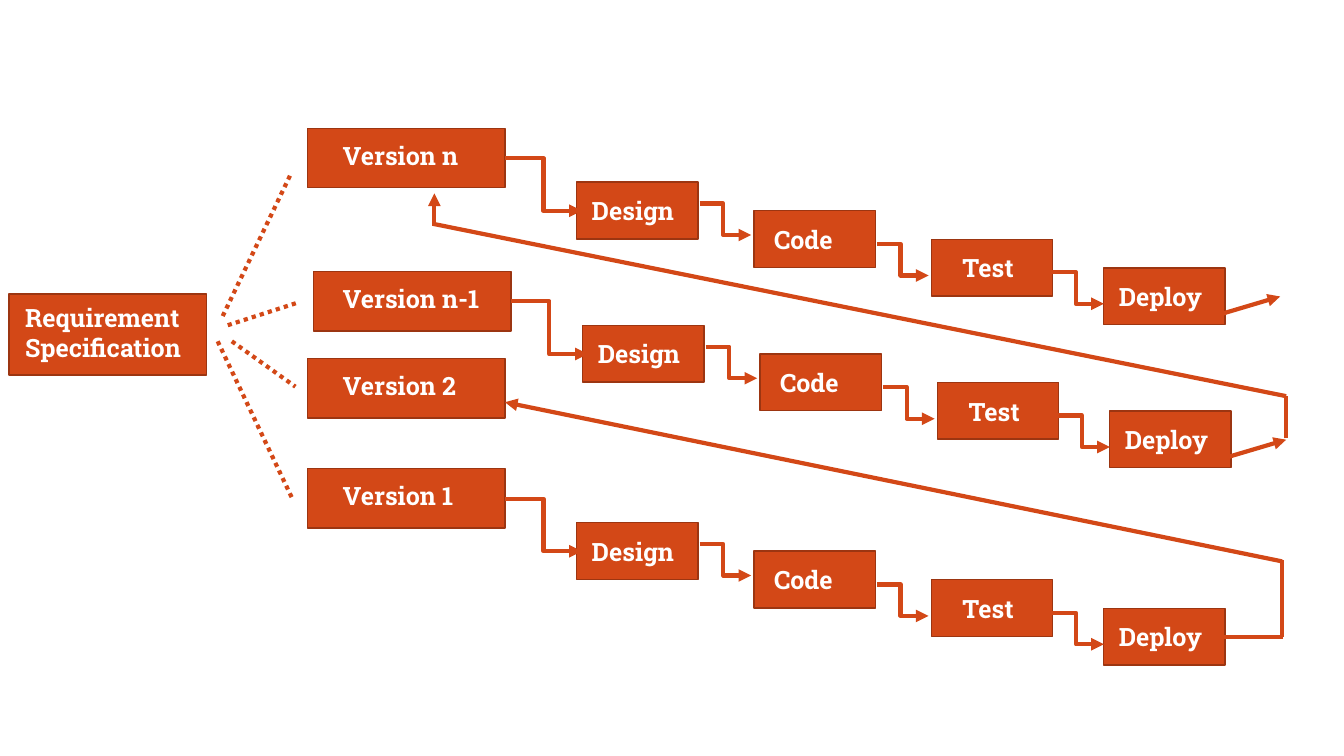
import pptx
import pptx.util
import pptx.dml.color
import pptx.enum.dml
import pptx.enum.shapes
import pptx.enum.text
import pptx.oxml
import pptx.oxml.ns

Pt = pptx.util.Pt
ORANGE, BORDER, WHITE = "D34817", "9C3511", "FFFFFF"
FONT = {"name": "Roboto Slab", "size": Pt(18), "bold": True}
VERSION_W, VERSION_H = 141.1, 42.5
STEP_W, STEP_H = 86.7, 40.5
LABEL_W, LABEL_H = 78.5, 29
# Step name, left offset in the row, label indent
STEPS = [("Design", 192.3, 3.7), ("Code", 319, 7.2),
         ("Test", 445.7, 15.1), ("Deploy", 568.8, 3.7)]
STEP_TOP, STEP_DROP = 38.5, 20.4
# Start of each elbow arrow between neighbouring steps
ELBOWS = [(280.1, 53.8), (406.8, 82.7), (532, 102.9)]
ELBOW_W, ELBOW_H = 36.9, 22.5


def rgb(value):
    return pptx.dml.color.RGBColor.from_string(value)


def add_box(s, x, y, w, h):
    sp = s.shapes.add_shape(pptx.enum.shapes.MSO_SHAPE.RECTANGLE,
                            Pt(x), Pt(y), Pt(w), Pt(h))
    sp.shadow.inherit = False
    sp.fill.solid()
    sp.fill.fore_color.rgb = rgb(ORANGE)
    sp.line.color.rgb = rgb(BORDER)
    sp.line.width = Pt(1)


def add_label(s, text, x, y, w, h=LABEL_H):
    tf = s.shapes.add_textbox(Pt(x), Pt(y), Pt(w), Pt(h)).text_frame
    tf.word_wrap = True
    tf.auto_size = pptx.enum.text.MSO_AUTO_SIZE.SHAPE_TO_FIT_TEXT
    r = tf.paragraphs[0].add_run()
    r.text = text
    for key, value in FONT.items():
        setattr(r.font, key, value)
    r.font.color.rgb = rgb(WHITE)


def add_line(s, start, end, arrow=False, dotted=False, bend=None):
    kinds = pptx.enum.shapes.MSO_CONNECTOR
    cx = s.shapes.add_connector(kinds.ELBOW if bend else kinds.STRAIGHT,
                                *map(Pt, start + end))
    cx.line.color.rgb = rgb(ORANGE)
    cx.line.width = Pt(3)
    if dotted:
        cx.line.dash_style = pptx.enum.dml.MSO_LINE.ROUND_DOT
    sp_pr = cx._element.spPr
    ns = pptx.oxml.ns.nsdecls("a")
    if arrow:
        sp_pr.find(pptx.oxml.ns.qn("a:ln")).append(
            pptx.oxml.parse_xml(f'<a:tailEnd {ns} type="triangle"/>'))
    if bend:
        geom = sp_pr.find(pptx.oxml.ns.qn("a:prstGeom"))
        for old in list(geom):
            geom.remove(old)
        geom.append(pptx.oxml.parse_xml(
            f'<a:avLst {ns}><a:gd name="adj1" fmla="val {bend}"/></a:avLst>'))
    sp_pr.append(pptx.oxml.parse_xml(f"<a:effectLst {ns}/>"))


def version_box(s, name, x, y, indent=18, label_w=105.8):
    add_box(s, x, y, VERSION_W, VERSION_H)
    add_label(s, name, x + indent, y + 5, label_w)


def version_row(s, name, x, y, exit_arrow=True, **label):
    version_box(s, name, x, y, **label)
    # Descending steps
    for i, (step, dx, indent) in enumerate(STEPS):
        top = y + STEP_TOP + i * STEP_DROP
        add_box(s, x + dx, top, STEP_W, STEP_H)
        add_label(s, step, x + dx + indent, top + 6, LABEL_W)
    # Elbow arrows
    add_line(s, (x + VERSION_W, y + 21.4), (x + 196, y + 59),
             arrow=True, bend=50000)
    for dx, dy in ELBOWS:
        add_line(s, (x + dx, y + dy), (x + dx + ELBOW_W, y + dy + ELBOW_H),
                 arrow=True, bend=45900)
    if exit_arrow:
        add_line(s, (x + 651, y + 133.2), (x + 694.8, y + 120.2), arrow=True)


def feedback_lines(s):
    # Version 1 back to version 2
    add_line(s, (869, 455), (916.6, 455))
    add_line(s, (915.8, 455), (915.8, 400))
    add_line(s, (915.8, 401), (360.7, 287.3), arrow=True)
    # Version n-1 back to version n
    add_line(s, (918.7, 313.2), (918.7, 283))
    add_line(s, (308.9, 159.8), (918.7, 283))
    add_line(s, (310.3, 160.6), (310.3, 138.2), arrow=True)


def requirement(s, x, y):
    add_box(s, x, y, 141.1, 57.8)
    add_label(s, "Requirement Specification", x + 4.3, y + 2.2, 132.5, 51)
    # Dotted fan to the versions
    for x1, y1, x2, y2 in [(152.6, 15.8, 200.9, -85), (149, 33.8, 202.3, 146.2),
                           (156.2, 22.3, 205.2, 6.5), (159.1, 33.8, 204.5, 66.2)]:
        add_line(s, (x + x1, y + y1), (x + x2, y + y2), dotted=True)


prs = pptx.Presentation()
prs.slide_width, prs.slide_height = Pt(960), Pt(540)
s = prs.slides.add_slide(prs.slide_layouts[6])
version_row(s, "Version n", 219.6, 91.6)
version_row(s, "Version n-1", 223.9, 193.9, indent=13.7, label_w=119.5)
version_row(s, "Version 1", 219.6, 334.8, exit_arrow=False)
version_box(s, "Version 2", 219.6, 256)
feedback_lines(s)
requirement(s, 6.5, 210)
prs.save("out.pptx")
